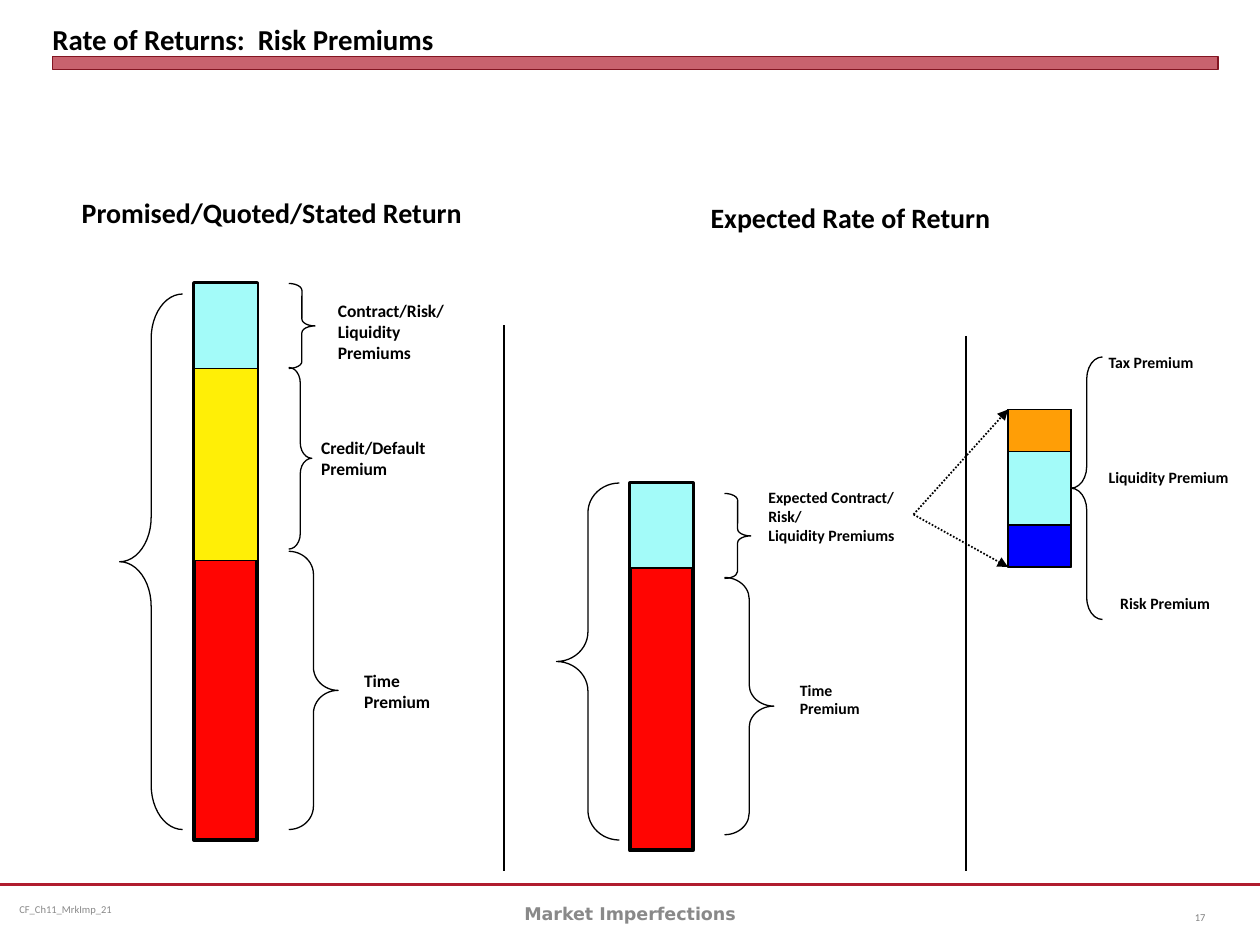
from lxml import etree
from pptx import Presentation
from pptx.dml.color import RGBColor
from pptx.enum.dml import MSO_LINE
from pptx.enum.shapes import MSO_CONNECTOR, MSO_SHAPE as Shape
from pptx.enum.text import MSO_ANCHOR as Anchor, MSO_AUTO_SIZE as AutoSize, PP_ALIGN as Align
from pptx.oxml.ns import qn
from pptx.util import Inches, Pt

COLORS = {
    "black": "000000", "crimson": "B01C2E", "maroon": "821522",
    "gray": "898989", "page_gray": "808080", "red": "FF0502",
    "yellow": "FFEF06", "cyan": "A3FBF9", "orange": "FF9E06", "blue": "0000FF",
}
GRID = 12  # columns and rows per inch


def unit(count):
    """Turn grid columns or rows into a length."""
    return Inches(count / GRID)


def rgb(name):
    """Look up a named colour."""
    return RGBColor.from_string(COLORS[name])


class Page:
    """Style and current slide, with positions in grid columns and rows."""

    def __init__(self, deck, font="Calibri"):
        """Add a blank slide to the deck."""
        self.slide = deck.slides.add_slide(deck.slide_layouts[6])
        self.font = font

    def text(self, words, left, top, width, height, size=10, color="black", bold=True,
             font=None, align=Align.LEFT, anchor=Anchor.TOP, inset=(0.1, 0.05), grow=True):
        """Add a text box, one paragraph for each line of words."""
        box = self.slide.shapes.add_textbox(*map(unit, (left, top, width, height)))
        frame = box.text_frame
        frame.word_wrap = True
        frame.auto_size = AutoSize.SHAPE_TO_FIT_TEXT if grow else AutoSize.NONE
        frame.vertical_anchor = anchor
        frame.margin_left = frame.margin_right = Inches(inset[0])
        frame.margin_top = frame.margin_bottom = Inches(inset[1])
        for index, line in enumerate(words.split("\n")):
            para = frame.paragraphs[0] if index == 0 else frame.add_paragraph()
            para.alignment = align
            span = para.add_run()
            span.text = line
            span.font.name = font or self.font
            span.font.size = Pt(size)
            span.font.bold = bold
            span.font.color.rgb = rgb(color)

    def shape(self, kind, left, top, width, height, fill=None, line="black", weight=0.75):
        """Add a preset shape, unfilled unless a fill is named."""
        shape = self.slide.shapes.add_shape(kind, *map(unit, (left, top, width, height)))
        shape.shadow.inherit = False
        if fill:
            shape.fill.solid()
            shape.fill.fore_color.rgb = rgb(fill)
        else:
            shape.fill.background()
        shape.line.color.rgb = rgb(line)
        shape.line.width = Pt(weight)
        return shape

    def band(self, left, top, width, height, fill, line, opacity):
        """Add a see-through rectangle with a hairline border."""
        shape = self.shape(Shape.RECTANGLE, left, top, width, height, fill, line, 0)
        tone = shape.fill._xPr.find(qn("a:solidFill"))[0]
        etree.SubElement(tone, qn("a:alpha"), val=str(opacity * 1000))

    def brace(self, kind, left, top, width, height, curve):
        """Add a brace whose point is at its middle."""
        shape = self.shape(kind, left, top, width, height)
        shape.adjustments[0] = curve
        shape.adjustments[1] = 0.5

    def line(self, start, end, color="black", weight=0.75, arrow=False):
        """Add a straight line, or a dotted arrow."""
        line = self.slide.shapes.add_connector(
            MSO_CONNECTOR.STRAIGHT, *map(unit, (*start, *end)))
        line.line.color.rgb = rgb(color)
        line.line.width = Pt(weight)
        if arrow:
            line.line.dash_style = MSO_LINE.ROUND_DOT
            etree.SubElement(line.line._get_or_add_ln(), qn("a:tailEnd"), type="triangle")
        etree.SubElement(line._element.spPr, qn("a:effectLst"))

    def stack(self, left, top, height, base, weight, rules, parts, width=6):
        """Add a stacked bar: a base, ruled lines, then coloured parts over it."""
        self.shape(Shape.RECTANGLE, left, top, width, height, base, weight=weight)
        for row, thickness in rules:
            self.line((left, row), (left + width, row), weight=thickness)
        for row, rows, fill in parts:
            self.shape(Shape.RECTANGLE, left, row, width, rows, fill)


def add_frame(page):
    """Add the title, its band and the footer."""
    page.line((0, 84.25), (120, 84.25), "crimson", 1.25)
    page.text("CF_Ch11_MrkImp_21", 1, 84.25, 31, 4.8, 6, "gray", False,
              anchor=Anchor.MIDDLE, inset=(0.07, 0.04), grow=False)
    page.band(5, 5.4, 111, 1.2, "crimson", "maroon", 69)
    page.text("Rate of Returns:  Risk Premiums", 5, 0.6, 111, 4.8, 16.5,
              anchor=Anchor.BOTTOM, inset=(0, 0), grow=False)
    page.text("Market Imperfections", 41, 84.6, 38, 4.8, 10, "gray", font="DejaVu Sans",
              align=Align.CENTER, anchor=Anchor.MIDDLE, grow=False)
    page.text("17", 110, 85, 6, 4.8, 6, "page_gray", False,
              align=Align.RIGHT, anchor=Anchor.MIDDLE, grow=False)


def add_returns(page):
    """Add the three stacked bars, their braces and the dividing lines."""
    page.stack(18.5, 27, 53, "red", 2.25, [(53, 2.25), (35, 2)],
               [(35, 18.4, "yellow"), (27, 8.1, "cyan")])
    page.stack(60, 46, 35, "red", 2.25, [(54, 2.25), (46, 2)], [(46, 8.1, "cyan")])
    page.stack(96, 39, 15, "cyan", 0.75, [(43, 0.75), (50, 0.75)],
               [(39, 4, "orange"), (50, 4, "blue")])

    left, right = Shape.LEFT_BRACE, Shape.RIGHT_BRACE
    for brace in [
        (left, 11.4, 28, 6, 51, 0.708),
        (right, 27.5, 27, 2.5, 8.1, 0.265),
        (right, 27.5, 35, 2.2, 17.3, 0.673),
        (right, 27.5, 52.5, 4.7, 26.5, 0.469),
        (left, 53, 46, 6, 34, 0.472),
        (right, 69, 47, 2.5, 8.1, 0.265),
        (right, 69, 55, 4.7, 24.5, 0.434),
        (left, 102, 34, 3, 25, 0.694),
    ]:
        page.brace(*brace)

    for column, top in [(48, 31), (92, 32)]:
        page.line((column, top), (column, 83))
    for row in (39, 54):
        page.line((87, 49), (96, row), weight=1, arrow=True)


def add_labels(page):
    """Add the headings and the premium names."""
    for label in [
        ("Promised/Quoted/Stated Return", 6.6, 18, 50, 4.4, 16),
        ("Expected Rate of Return", 66.5, 18.5, 41, 4.4, 16),
        ("Contract/Risk/\nLiquidity\nPremiums", 31, 28, 18, 7.2, 10),
        ("Credit/Default Premium", 29.4, 41, 14.5, 5.2, 10),
        ("Time Premium", 33.5, 63.25, 9.6, 5.2, 10),
        ("Expected Contract/\nRisk/\nLiquidity Premiums", 72, 45.85, 19, 6.7, 9),
        ("Time Premium", 75, 64.2, 9, 4.8, 9),
        ("Tax Premium", 104.4, 33, 12.6, 3, 9),
        ("Liquidity Premium", 104.4, 44, 14.5, 3, 9),
        ("Risk Premium", 105.5, 56, 12.6, 3, 9),
    ]:
        page.text(*label)


def main():
    """Build the deck and save it."""
    deck = Presentation()
    deck.slide_width, deck.slide_height = Inches(10), Inches(7.5)
    page = Page(deck)
    add_frame(page)
    add_returns(page)
    add_labels(page)
    deck.save("out.pptx")


main()
